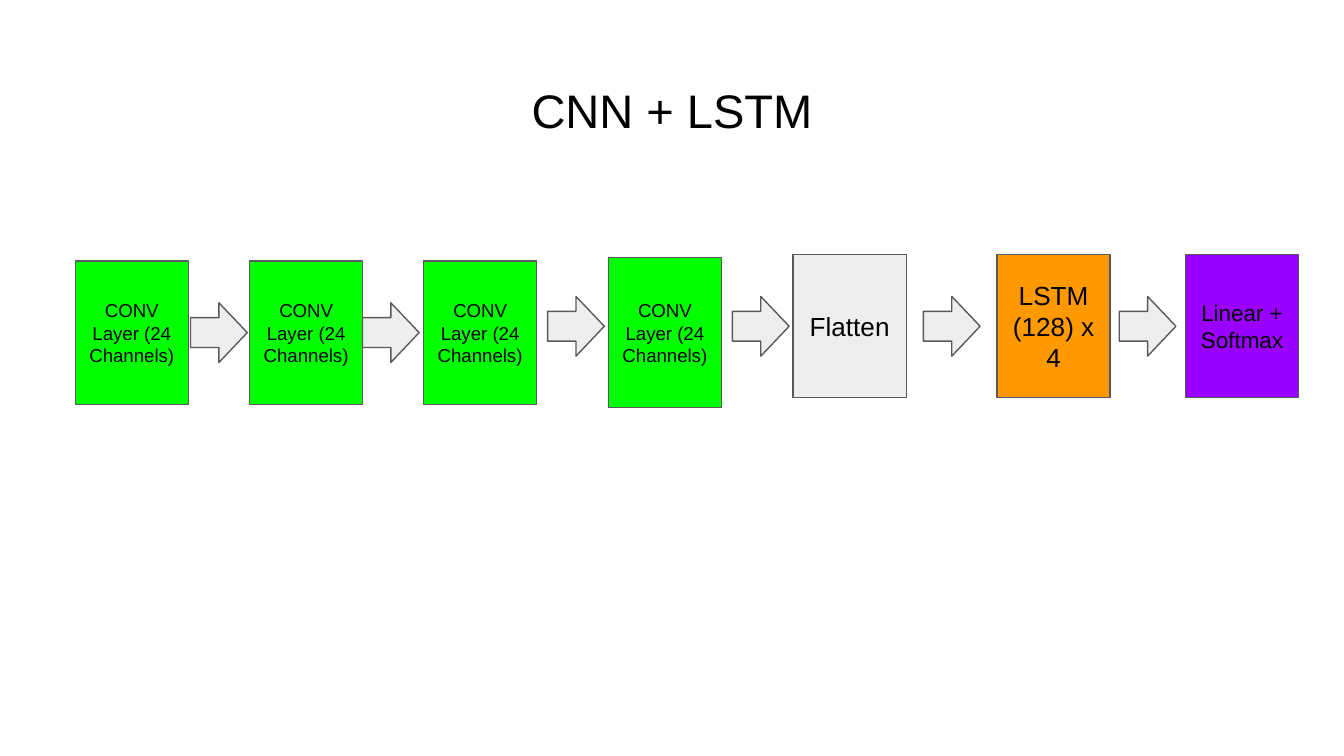
import pptx
import pptx.dml.color
import pptx.enum.shapes
import pptx.enum.text
import pptx.util

Pt = pptx.util.Pt
SHAPE = pptx.enum.shapes.MSO_SHAPE
ANCHOR = pptx.enum.text.MSO_ANCHOR
ALIGN = pptx.enum.text.PP_ALIGN


def rgb(value):
    return pptx.dml.color.RGBColor.from_string(value)


class Deck:
    font = "Arial"
    ink = "000000"
    edge = "595959"
    gray = "EEEEEE"
    frame = {
        "word_wrap": True,
        "vertical_anchor": ANCHOR.MIDDLE,
        "margin_left": Pt(7.2),
        "margin_right": Pt(7.2),
        "margin_top": Pt(7.2),
        "margin_bottom": Pt(7.2),
    }

    def __init__(self, s):
        self.s = s

    def label(self, sp, text, size):
        tf = sp.text_frame
        for name, value in self.frame.items():
            setattr(tf, name, value)
        p = tf.paragraphs[0]
        p.alignment = ALIGN.CENTER
        r = p.add_run()
        r.text = text
        for name, value in {"name": self.font, "size": Pt(size)}.items():
            setattr(r.font, name, value)
        r.font.color.rgb = rgb(self.ink)

    def title(self, text, size, *box):
        sp = self.s.shapes.add_textbox(*map(Pt, box))
        self.label(sp, text, size)

    def shape(self, kind, fill, *box):
        sp = self.s.shapes.add_shape(kind, *map(Pt, box))
        sp.shadow.inherit = False
        sp.fill.solid()
        sp.fill.fore_color.rgb = rgb(fill)
        sp.line.color.rgb = rgb(self.edge)
        sp.line.width = Pt(0.75)
        return sp

    def block(self, text, size, fill, left, top, height):
        sp = self.shape(SHAPE.RECTANGLE, fill, left, top, 60.6, height)
        self.label(sp, text, size)

    def arrow(self, left, top):
        self.shape(SHAPE.RIGHT_ARROW, self.gray, left, top, 30.4, 32)


def main():
    prs = pptx.Presentation()
    prs.slide_width, prs.slide_height = Pt(720), Pt(405)
    deck = Deck(prs.slides.add_slide(prs.slide_layouts[6]))
    deck.title("CNN + LSTM", 25.2, 24.5, 36, 671, 45.1)

    conv = ("CONV Layer (24 Channels)", 10, "00FF00")
    layers = [
        (conv, 40.3, 139.8, 76.8),
        (conv, 133.7, 139.8, 76.8),
        (conv, 226.9, 139.8, 76.8),
        (conv, 325.9, 138, 80.4),
        (("Flatten", 14, Deck.gray), 424.9, 136.3, 76.8),
        (("LSTM (128) x 4", 14, "FF9900"), 534.2, 136.3, 76.8),
        (("Linear + Softmax", 12, "9900FF"), 635.1, 136.3, 76.8),
    ]
    for look, left, top, height in layers:
        deck.block(*look, left, top, height)

    for left in (102.1, 194.2):
        deck.arrow(left, 162.2)
    for left in (293.4, 392.4, 494.7, 599.6):
        deck.arrow(left, 158.8)

    prs.save("out.pptx")


if __name__ == "__main__":
    main()
